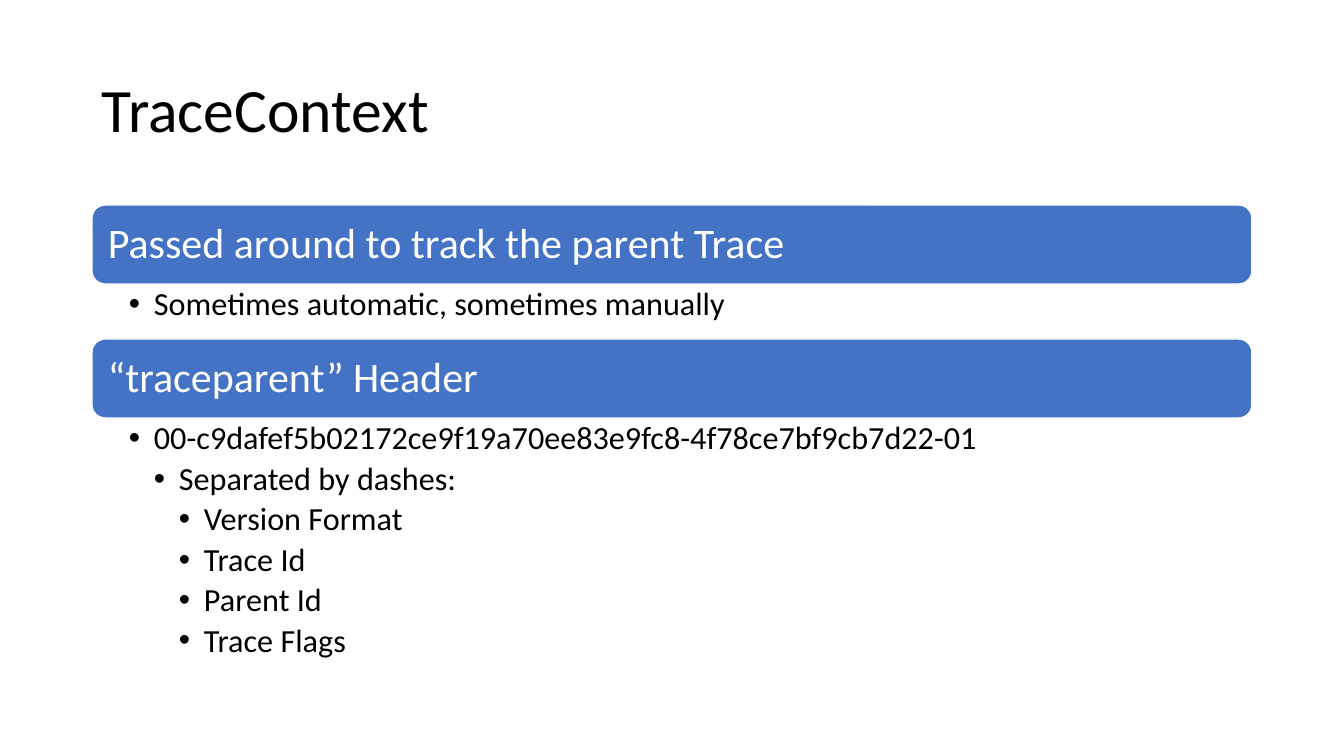
from lxml import etree
from pptx import Presentation
from pptx.dml.color import RGBColor
from pptx.enum.shapes import MSO_SHAPE
from pptx.enum.text import MSO_ANCHOR, PP_ALIGN
from pptx.oxml.ns import qn
from pptx.util import Pt

ROUNDED = MSO_SHAPE.ROUNDED_RECTANGLE
MIDDLE, TOP = MSO_ANCHOR.MIDDLE, MSO_ANCHOR.TOP
LEFT = PP_ALIGN.LEFT
SCALE = 914400 / 100.8
COLORS = {"text": "000000", "bar": "4472C4", "white": "FFFFFF"}
MARGIN, WIDTH, BAR_HEIGHT, INDENT = 92, 1160, 79, 25
SECTIONS = [
    (205, "Passed around to track the parent Trace", 54,
     [(1, "Sometimes automatic, sometimes manually")]),
    (339, "“traceparent” Header", 260,
     [(1, "00-c9dafef5b02172ce9f19a70ee83e9fc8-4f78ce7bf9cb7d22-01"),
      (2, "Separated by dashes:"),
      (3, "Version Format"),
      (3, "Trace Id"),
      (3, "Parent Id"),
      (3, "Trace Flags")]),
]


def px(value):
    return round(value * SCALE)


def color(name):
    return RGBColor.from_string(COLORS[name])


def set_all(target, values):
    for name, value in values.items():
        setattr(target, name, value)


def set_frame(frame, anchor, insets):
    sides = ("margin_left", "margin_top", "margin_right", "margin_bottom")
    set_all(frame, {"word_wrap": True, "vertical_anchor": anchor})
    set_all(frame, dict(zip(sides, map(px, insets))))


def write(para, text, size, ink, after=0):
    set_all(para, {"alignment": LEFT, "line_spacing": 0.9, "space_after": Pt(after)})
    span = para.add_run()
    span.text = text
    set_all(span.font, {"size": Pt(size), "name": "Calibri"})
    span.font.color.rgb = color(ink)


def add_bullet(para, level):
    para.level = level
    props = para._p.get_or_add_pPr()
    props.set("marL", str(px(INDENT * level)))
    props.set("indent", str(-px(INDENT)))
    etree.SubElement(props, qn("a:buFont")).set("typeface", "Arial")
    etree.SubElement(props, qn("a:buChar")).set("char", "•")


def add_text_box(page, top, height, anchor, insets):
    box = page.shapes.add_textbox(px(MARGIN), px(top), px(WIDTH), px(height))
    set_frame(box.text_frame, anchor, insets)
    return box.text_frame


def add_title(page, text):
    frame = add_text_box(page, 40, 146, MIDDLE, (10, 5, 10, 5))
    write(frame.paragraphs[0], text, 44, "text")


def add_bar(page, top, text):
    bar = page.shapes.add_shape(ROUNDED, px(MARGIN), px(top), px(WIDTH), px(BAR_HEIGHT))
    bar.shadow.inherit = False
    bar.fill.solid()
    bar.fill.fore_color.rgb = color("bar")
    bar.line.color.rgb = color("white")
    bar.line.width = Pt(1)
    set_frame(bar.text_frame, MIDDLE, (12, 12, 12, 12))
    write(bar.text_frame.paragraphs[0], text, 30, "white")


def add_list(page, top, height, items):
    frame = add_text_box(page, top, height, TOP, (37, 4, 23, 4))
    for index, (level, text) in enumerate(items):
        para = frame.add_paragraph() if index else frame.paragraphs[0]
        write(para, text, 23, "text", 4.1)
        add_bullet(para, level)


def main():
    deck = Presentation()
    set_all(deck, {"slide_width": px(1344), "slide_height": px(756)})
    page = deck.slides.add_slide(deck.slide_layouts[6])
    add_title(page, "TraceContext")
    for top, heading, height, items in SECTIONS:
        add_bar(page, top, heading)
        add_list(page, top + BAR_HEIGHT, height, items)
    deck.save("out.pptx")


main()
